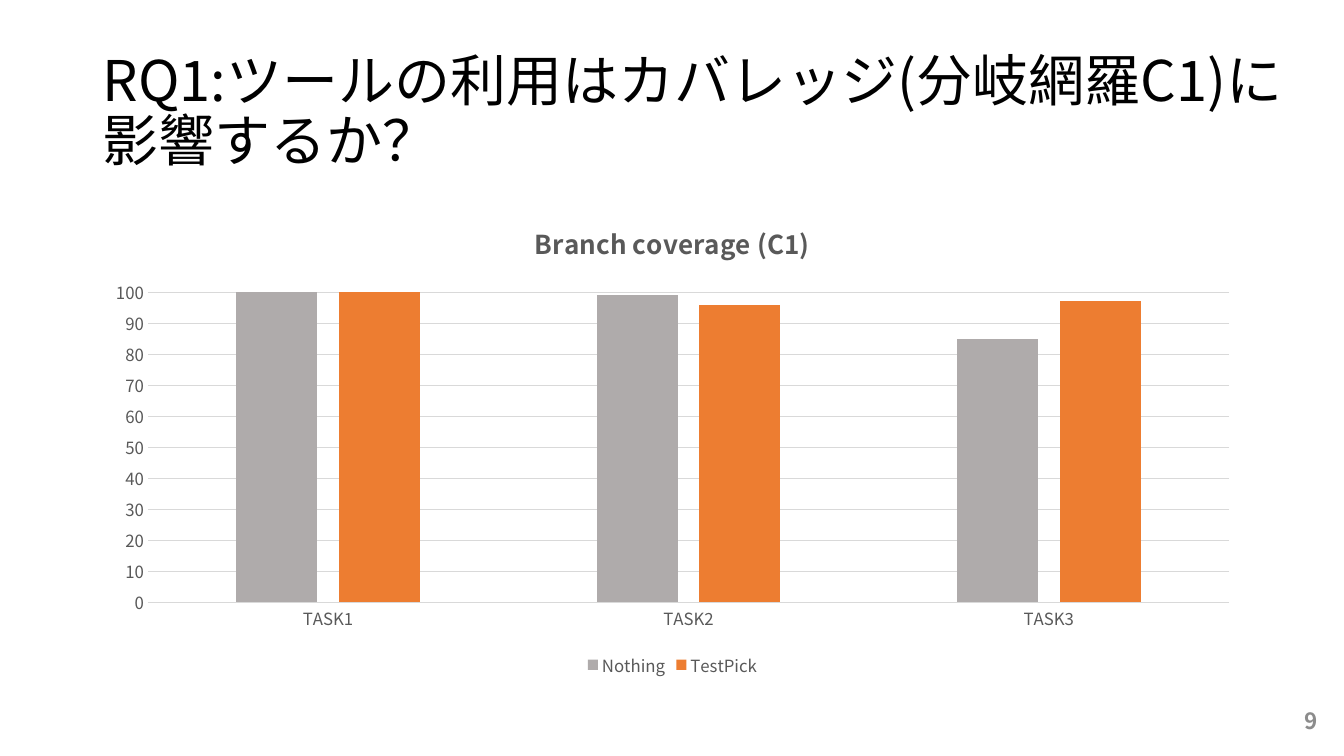
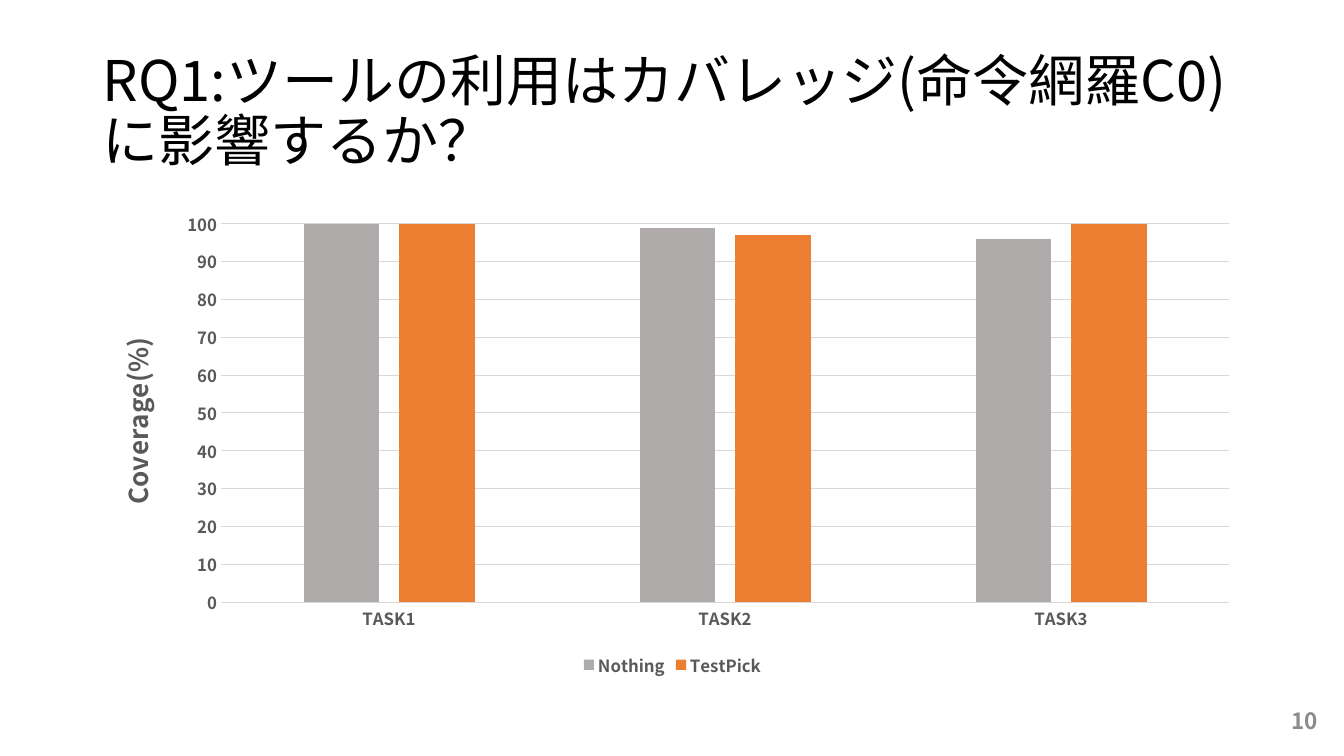
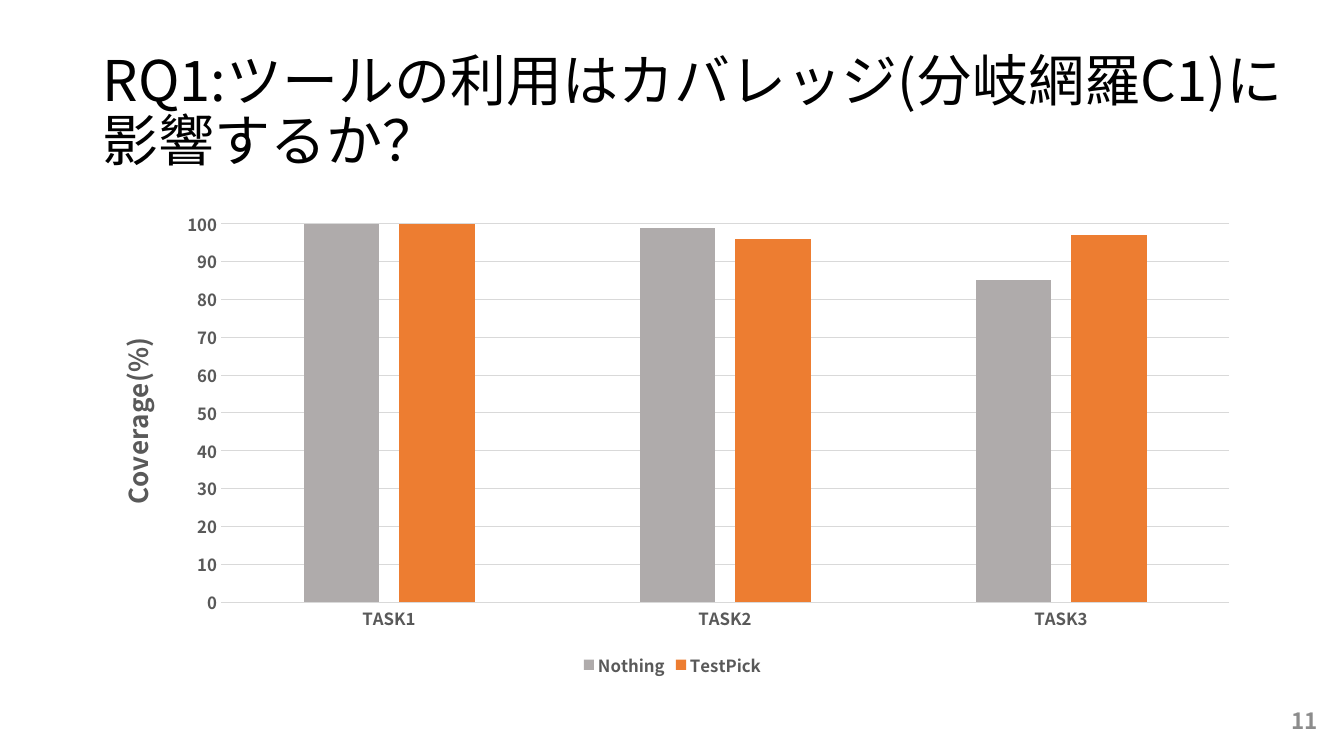
"""Build three slides of clustered column charts comparing test coverage by task."""
from lxml import etree
from pptx import Presentation
from pptx.chart.data import CategoryChartData
from pptx.dml.color import RGBColor
from pptx.enum.chart import XL_CHART_TYPE, XL_LEGEND_POSITION, XL_TICK_MARK
from pptx.enum.text import MSO_ANCHOR, MSO_AUTO_SIZE, PP_ALIGN
from pptx.oxml.ns import qn
from pptx.util import Inches, Pt

COLUMNS = XL_CHART_TYPE.COLUMN_CLUSTERED
LEGEND_BOTTOM = XL_LEGEND_POSITION.BOTTOM
NO_TICK = XL_TICK_MARK.NONE
MIDDLE = MSO_ANCHOR.MIDDLE
NO_FIT = MSO_AUTO_SIZE.NONE
LEFT, CENTER, RIGHT = PP_ALIGN.LEFT, PP_ALIGN.CENTER, PP_ALIGN.RIGHT

FONT = "Noto Sans CJK JP"
BLACK = RGBColor(0x00, 0x00, 0x00)
CHART_TEXT = RGBColor(0x59, 0x59, 0x59)
GRID = RGBColor(0xD9, 0xD9, 0xD9)
NUMBER_GRAY = RGBColor(0x8C, 0x8C, 0x8C)
SERIES_COLORS = (RGBColor(0xAF, 0xAB, 0xAB), RGBColor(0xED, 0x7D, 0x31))

FIRST_NUMBER = 9
TASKS = ("TASK1", "TASK2", "TASK3")
SERIES_NAMES = ("Nothing", "TestPick")
STATEMENT_COVERAGE = ((100, 99, 96), (100, 97, 100))
BRANCH_COVERAGE = ((100, 99, 85), (100, 96, 97))
BRANCH_QUESTION = "RQ1:ツールの利用はカバレッジ(分岐網羅C1)に影響するか？"
STATEMENT_QUESTION = "RQ1:ツールの利用はカバレッジ(命令網羅C0)に影響するか？"
SLIDES = (
    {"question": BRANCH_QUESTION, "title_width": 12.01, "coverage": BRANCH_COVERAGE,
     "chart_title": "Branch coverage (C1)"},
    {"question": STATEMENT_QUESTION, "title_width": 11.83, "coverage": STATEMENT_COVERAGE,
     "axis_title": "Coverage(%)"},
    {"question": BRANCH_QUESTION, "title_width": 12.01, "coverage": BRANCH_COVERAGE,
     "axis_title": "Coverage(%)"},
)


def format_font(font, size, color, bold=False):
    font.name = FONT
    font.size = Pt(size)
    font.bold = bold
    font.color.rgb = color


def write_text(frame, text, size, color, bold=False, align=LEFT, line_spacing=None):
    paragraph = frame.paragraphs[0]
    paragraph.alignment = align
    paragraph.line_spacing = line_spacing
    run = paragraph.add_run()
    run.text = text
    format_font(run.font, size, color, bold)
    properties = run.font._element
    etree.SubElement(properties, qn("a:ea")).set("typeface", FONT)


def add_title(slide, text, width):
    title = slide.shapes.title
    title.left, title.top = Inches(0.92), Inches(0.4)
    title.width, title.height = Inches(width), Inches(1.45)
    frame = title.text_frame
    frame.word_wrap = True
    frame.auto_size = NO_FIT
    frame.vertical_anchor = MIDDLE
    write_text(frame, text, 40, BLACK, line_spacing=0.9)


def add_number(slide, number):
    box = slide.shapes.add_textbox(Inches(10.17), Inches(6.95), Inches(3), Inches(0.4))
    frame = box.text_frame
    frame.word_wrap = True
    frame.vertical_anchor = MIDDLE
    write_text(frame, str(number), 16, NUMBER_GRAY, bold=True, align=RIGHT)


def format_axes(chart, bold):
    category_axis, value_axis = chart.category_axis, chart.value_axis
    for axis in (category_axis, value_axis):
        axis.major_tick_mark = axis.minor_tick_mark = NO_TICK
        format_font(axis.tick_labels.font, 12, CHART_TEXT, bold)
    value_axis.minimum_scale, value_axis.maximum_scale = 0, 100
    value_axis.major_unit = 10
    value_axis.has_major_gridlines = True
    value_axis.format.line.fill.background()
    for line in (category_axis.format.line, value_axis.major_gridlines.format.line):
        line.color.rgb = GRID
        line.width = Pt(0.75)


def add_coverage_chart(slide, coverage, chart_title=None, axis_title=None):
    data = CategoryChartData()
    data.categories = TASKS
    for name, values in zip(SERIES_NAMES, coverage):
        data.add_series(name, values)
    chart = slide.shapes.add_chart(
        COLUMNS, Inches(0.92), Inches(2), Inches(11.5), Inches(4.76), data).chart
    format_font(chart.font, 10, BLACK)
    bold = axis_title is not None
    format_axes(chart, bold)

    plot = chart.plots[0]
    plot.vary_by_categories = False
    plot.gap_width, plot.overlap = 219, -27
    for series, color in zip(plot.series, SERIES_COLORS):
        series.format.fill.solid()
        series.format.fill.fore_color.rgb = color

    chart.has_legend = True
    chart.legend.position = LEGEND_BOTTOM
    chart.legend.include_in_layout = False
    format_font(chart.legend.font, 12, CHART_TEXT, bold)

    chart.has_title = chart_title is not None
    if chart_title:
        write_text(chart.chart_title.text_frame, chart_title, 18.6, CHART_TEXT,
                   bold=True, align=CENTER)
    if axis_title:
        frame = chart.value_axis.axis_title.text_frame
        write_text(frame, axis_title, 18.6, CHART_TEXT, bold=True, align=CENTER)
        body = frame._element.find(qn("a:bodyPr"))
        body.set("rot", "-5400000")
        body.set("vert", "horz")


def main():
    presentation = Presentation()
    presentation.slide_width, presentation.slide_height = Inches(13.33), Inches(7.5)
    title_only = presentation.slide_layouts[5]
    for number, content in enumerate(SLIDES, FIRST_NUMBER):
        slide = presentation.slides.add_slide(title_only)
        add_title(slide, content["question"], content["title_width"])
        add_coverage_chart(slide, content["coverage"], content.get("chart_title"),
                           content.get("axis_title"))
        add_number(slide, number)
    presentation.save("out.pptx")


if __name__ == "__main__":
    main()
